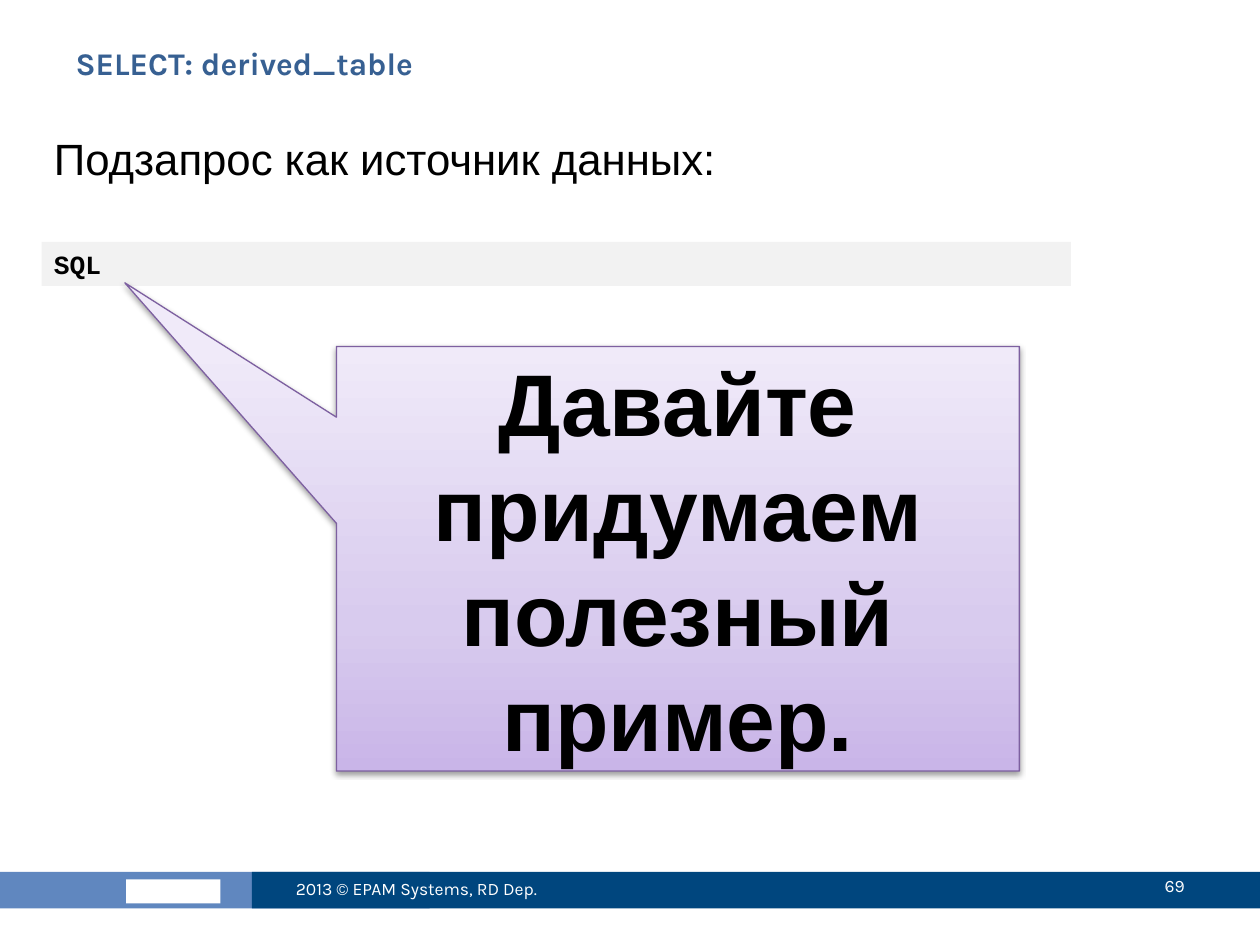
from lxml import etree
from pptx import Presentation
from pptx.dml.color import RGBColor
from pptx.enum import shapes, text
from pptx.oxml import ns
from pptx.util import Inches, Pt

WHITE = RGBColor(0xFF, 0xFF, 0xFF)
BLACK = RGBColor(0, 0, 0)
NAVY = RGBColor(0x00, 0x46, 0x7E)
LIGHT_BLUE = RGBColor(0x60, 0x87, 0xBF)
TITLE_BLUE = RGBColor(0x37, 0x60, 0x92)
CODE_GREY = RGBColor(0xF2, 0xF2, 0xF2)
PURPLE = RGBColor(0x7D, 0x60, 0xA0)
LILAC_STOPS = [
    (0, RGBColor(0xC9, 0xB5, 0xE8)),
    (35, RGBColor(0xD8, 0xCB, 0xEE)),
    (100, RGBColor(0xF0, 0xEA, 0xF9)),
]

prs = Presentation()
prs.slide_width, prs.slide_height = Inches(10), Inches(7.5)
slide = prs.slides.add_slide(prs.slide_layouts[5])


def add_bar(left, top, width, height, color):
    bar = slide.shapes.add_shape(
        shapes.MSO_SHAPE.RECTANGLE,
        Inches(left), Inches(top), Inches(width), Inches(height))
    bar.shadow.inherit = False
    bar.fill.solid()
    bar.fill.fore_color.rgb = color
    bar.line.fill.background()
    return bar


def write(shape, words, font, size, color, bold=False,
          align=text.PP_ALIGN.LEFT, anchor=text.MSO_ANCHOR.TOP):
    frame = shape.text_frame
    frame.word_wrap = True
    frame.vertical_anchor = anchor
    paragraph = frame.paragraphs[0]
    paragraph.text = words
    paragraph.alignment = align
    paragraph.font.name = font
    paragraph.font.size = Pt(size)
    paragraph.font.bold = bold
    paragraph.font.color.rgb = color


# Footer band, with a plain block for the logo
add_bar(-0.02, 6.92, 3.43, 0.29, LIGHT_BLUE)
add_bar(1, 6.98, 0.75, 0.19, WHITE)
add_bar(2, 6.92, 8, 0.29, NAVY)

# Title
title = slide.shapes.title
title.left, title.top = Inches(0.5), Inches(0.3)
title.width, title.height = Inches(9), Inches(0.78)
write(title, "SELECT: derived_table", "Karla", 18, TITLE_BLUE, bold=True)

# Footer texts
footer = slide.shapes.add_textbox(Inches(2.25), Inches(6.85), Inches(2.67), Inches(0.4))
write(footer, "2013 © EPAM Systems, RD Dep.", "Karla", 10, WHITE,
      anchor=text.MSO_ANCHOR.MIDDLE)
page_number = slide.shapes.add_textbox(Inches(8.42), Inches(6.83), Inches(1.08), Inches(0.4))
write(page_number, "69", "Karla", 10, WHITE,
      align=text.PP_ALIGN.RIGHT, anchor=text.MSO_ANCHOR.MIDDLE)

# Lead-in and code strip
lead_in = slide.shapes.add_textbox(Inches(0.33), Inches(1), Inches(9.08), Inches(0.52))
write(lead_in, "Подзапрос как источник данных:", "Arial", 25, BLACK)
code = add_bar(0.33, 1.92, 8.17, 0.35, CODE_GREY)
write(code, "SQL", "Courier New", 15, BLACK, bold=True)

# Callout pointing at the code
callout = slide.shapes.add_shape(
    shapes.MSO_SHAPE.RECTANGULAR_CALLOUT,
    Inches(2.67), Inches(2.75), Inches(5.42), Inches(3.37))
callout.adjustments[0], callout.adjustments[1] = -0.81, -0.65
callout.line.color.rgb = PURPLE
callout.line.width = Pt(0.75)
write(callout, "Давайте придумаем полезный пример.", "Arial", 50, BLACK, bold=True,
      align=text.PP_ALIGN.CENTER, anchor=text.MSO_ANCHOR.MIDDLE)

# Callout gradient with three stops, rising from the bottom edge
callout.fill.gradient()
gradient = callout.element.spPr.find(ns.qn("a:gradFill"))
stop_list = gradient.find(ns.qn("a:gsLst"))
for old_stop in list(stop_list):
    stop_list.remove(old_stop)
for position, color in LILAC_STOPS:
    stop = etree.SubElement(stop_list, ns.qn("a:gs"), pos=str(position * 1000))
    etree.SubElement(stop, ns.qn("a:srgbClr"), val=str(color))
gradient.find(ns.qn("a:lin")).set("ang", str(270 * 60000))

# Callout shadow, falling straight down
callout.shadow.inherit = False
effects = callout.element.spPr.find(ns.qn("a:effectLst"))
shadow = etree.SubElement(
    effects, ns.qn("a:outerShdw"), blurRad=str(Pt(3.1)), dist=str(Pt(1.6)),
    dir=str(90 * 60000), rotWithShape="0")
shadow_color = etree.SubElement(shadow, ns.qn("a:srgbClr"), val=str(BLACK))
etree.SubElement(shadow_color, ns.qn("a:alpha"), val="38000")

prs.save("out.pptx")
